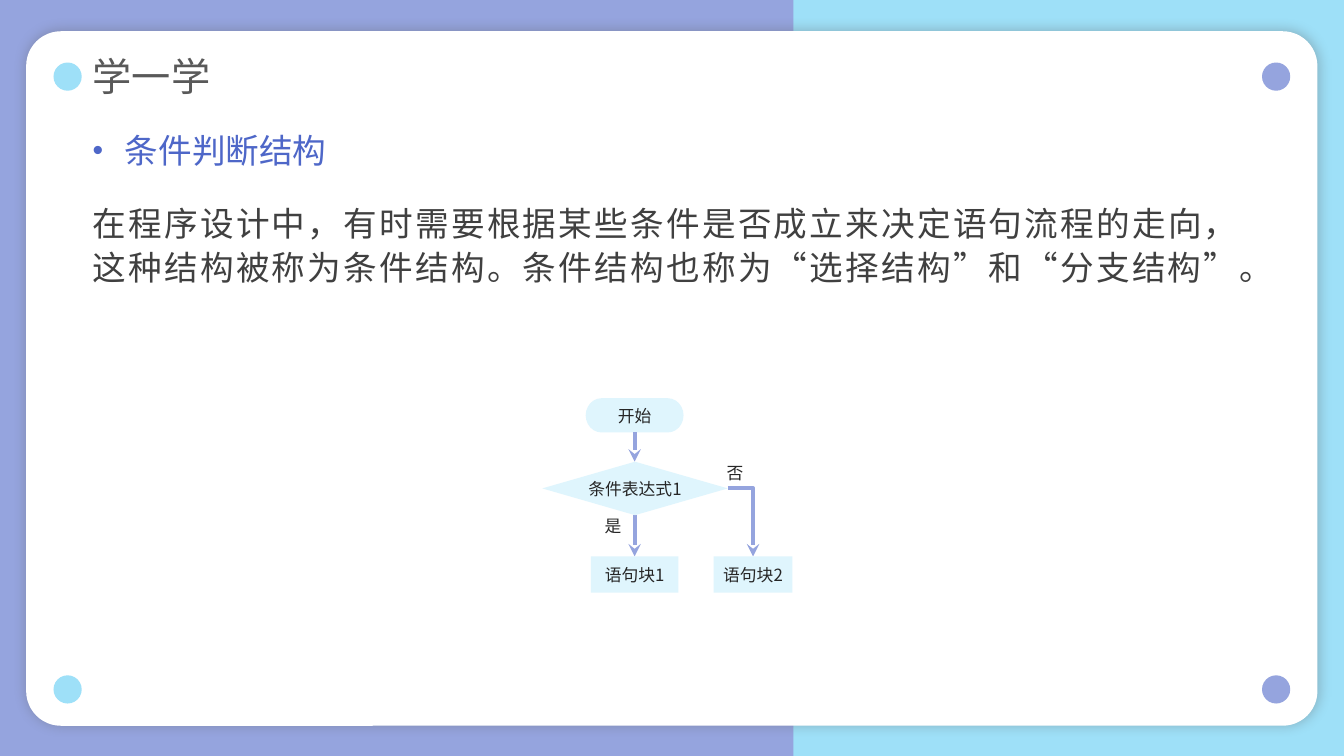
from lxml.etree import SubElement
from pptx import Presentation
from pptx.dml.color import RGBColor
from pptx.enum.shapes import MSO_CONNECTOR, MSO_SHAPE
from pptx.enum.text import MSO_ANCHOR, PP_ALIGN
from pptx.oxml.ns import qn
from pptx.util import Inches, Pt

WIDE, HIGH = Inches(13.333), Inches(7.5)
FONT = "Noto Sans CJK SC"

SKY = RGBColor(0x9E, 0xE0, 0xF8)
LILAC = RGBColor(0x95, 0xA4, 0xDE)
WHITE = RGBColor(0xFF, 0xFF, 0xFF)
PALE = RGBColor(0xDF, 0xF5, 0xFD)
BLUE = RGBColor(0x4E, 0x67, 0xC8)
GREY = RGBColor(0x59, 0x59, 0x59)
DARK = RGBColor(0x40, 0x40, 0x40)
INK = RGBColor(0x26, 0x26, 0x26)


# Places are percent shares of the slide's width and height
def across(share):
    return int(WIDE * share / 100)


def down(share):
    return int(HIGH * share / 100)


def place(left, top, width, height):
    return across(left), down(top), across(width), down(height)


def write(frame, text, size, color, align=PP_ALIGN.LEFT, line=1.0,
          anchor=MSO_ANCHOR.MIDDLE, inset=(0, 0.05), wrap=True):
    frame.word_wrap = wrap
    frame.vertical_anchor = anchor
    frame.margin_left = frame.margin_right = Inches(inset[0])
    frame.margin_top = frame.margin_bottom = Inches(inset[1])
    para = frame.paragraphs[0]
    para.text = text
    para.alignment = align
    para.line_spacing = line
    para.space_before = Pt(0)
    para.font.name = FONT
    para.font.size = Pt(size)
    para.font.color.rgb = color
    props = para._p.pPr.find(qn("a:defRPr"))
    SubElement(props, qn("a:ea")).set("typeface", FONT)
    return para


def add_box(slide, kind, box, fill, text=""):
    shape = slide.shapes.add_shape(kind, *place(*box))
    shape.shadow.inherit = False
    shape.fill.solid()
    shape.fill.fore_color.rgb = fill
    shape.line.fill.background()
    if text:
        write(shape.text_frame, text, 12, INK, PP_ALIGN.CENTER,
              inset=(0, 0), wrap=False)
    return shape


def add_text(slide, box, text, size, color, **style):
    frame = slide.shapes.add_textbox(*place(*box)).text_frame
    return write(frame, text, size, color, **style)


def add_arrow(slide, start, end, bent=False):
    kind = MSO_CONNECTOR.ELBOW if bent else MSO_CONNECTOR.STRAIGHT
    arrow = slide.shapes.add_connector(
        kind, across(start[0]), down(start[1]), across(end[0]), down(end[1]))
    arrow.line.color.rgb = LILAC
    arrow.line.width = Pt(3)
    props = arrow._element.spPr
    if bent:
        props.find(qn("a:prstGeom")).set("prst", "bentConnector2")
    SubElement(props.find(qn("a:ln")), qn("a:tailEnd")).set("type", "stealth")
    SubElement(props, qn("a:effectLst"))


def add_glow(shape):
    effects = shape._element.spPr.find(qn("a:effectLst"))
    glow = SubElement(effects, qn("a:outerShdw"), blurRad=str(Pt(36)),
                      dist=str(Pt(1)), dir="0", algn="ctr", rotWithShape="0")
    glow.set("blurRad", str(int(Pt(9))))
    glow.set("dist", str(int(Pt(1))))
    tint = SubElement(glow, qn("a:srgbClr"), val=str(GREY))
    SubElement(tint, qn("a:alpha"), val="36000")


def add_bullet(para):
    props = para._p.pPr
    props.set("marL", str(int(Inches(0.32))))
    props.set("indent", str(-int(Inches(0.32))))
    size = props.makeelement(qn("a:buSzPct"), {"val": "90000"})
    face = props.makeelement(qn("a:buFont"), {"typeface": "Arial"})
    mark = props.makeelement(qn("a:buChar"), {"char": "•"})
    for part in (size, face, mark):
        props.find(qn("a:defRPr")).addprevious(part)


def add_frame(slide):
    slide.background.fill.solid()
    slide.background.fill.fore_color.rgb = SKY
    add_box(slide, MSO_SHAPE.RECTANGLE, (0, 0, 59.03, 100), LILAC)
    card = add_box(slide, MSO_SHAPE.ROUNDED_RECTANGLE,
                   (1.95, 4.13, 96.08, 91.87), WHITE)
    card.adjustments[0] = 0.05
    add_glow(card)
    # Corner dots
    for top in (8.27, 89.33):
        for left, color in ((3.98, SKY), (93.9, LILAC)):
            add_box(slide, MSO_SHAPE.OVAL, (left, top, 2.1, 3.73), color)


def add_title(slide, text):
    title = slide.shapes.title
    title.left, title.top, title.width, title.height = place(
        6.9, 6.93, 41.93, 7.07)
    write(title.text_frame, text, 28, GREY, line=0.9)
    # Bring the title in front of the card
    slide.shapes._spTree.append(title._element)


def add_flow(slide):
    mid, side = 47.22, 56.03
    top, base = 61.07, 73.6
    add_box(slide, MSO_SHAPE.FLOWCHART_TERMINATOR,
            (43.58, 52.67, 7.28, 4.53), PALE, "开始")
    add_arrow(slide, (mid, 57.2), (mid, top))
    add_arrow(slide, (mid, 68.13), (mid, base))
    add_arrow(slide, (54.15, 64.6), (side, base), bent=True)
    add_box(slide, MSO_SHAPE.FLOWCHART_DECISION,
            (40.35, top, 13.8, 7.07), PALE, "条件表达式1")
    for center, width, text in ((mid, 6.53, "语句块1"), (side, 5.85, "语句块2")):
        add_box(slide, MSO_SHAPE.RECTANGLE,
                (center - width / 2, base, width, 4.8), PALE, text)
    # Branch labels
    for left, high, text in ((44.25, 67.07, "是"), (53.33, 60, "否")):
        add_text(slide, (left, high, 3.15, 4.53), text, 12, INK, line=1.2,
                 anchor=MSO_ANCHOR.TOP, inset=(0.1, 0.05))


def main():
    deck = Presentation()
    deck.slide_width, deck.slide_height = WIDE, HIGH
    slide = deck.slides.add_slide(deck.slide_layouts[5])
    add_frame(slide)
    add_title(slide, "学一学")

    # Topic and its meaning
    topic = add_text(slide, (6.9, 16.53, 41.93, 6.67), "条件判断结构", 24, BLUE)
    add_bullet(topic)
    body = add_text(
        slide, (6.9, 25.87, 85.35, 24.13),
        "在程序设计中，有时需要根据某些条件是否成立来决定语句流程的走向，"
        "这种结构被称为条件结构。条件结构也称为“选择结构”和“分支结构”。",
        24, DARK, align=PP_ALIGN.JUSTIFY, line=1.07, anchor=MSO_ANCHOR.TOP)
    body._p.pPr.find(qn("a:defRPr")).set("spc", "150")

    add_flow(slide)
    deck.save("out.pptx")


if __name__ == "__main__":
    main()
